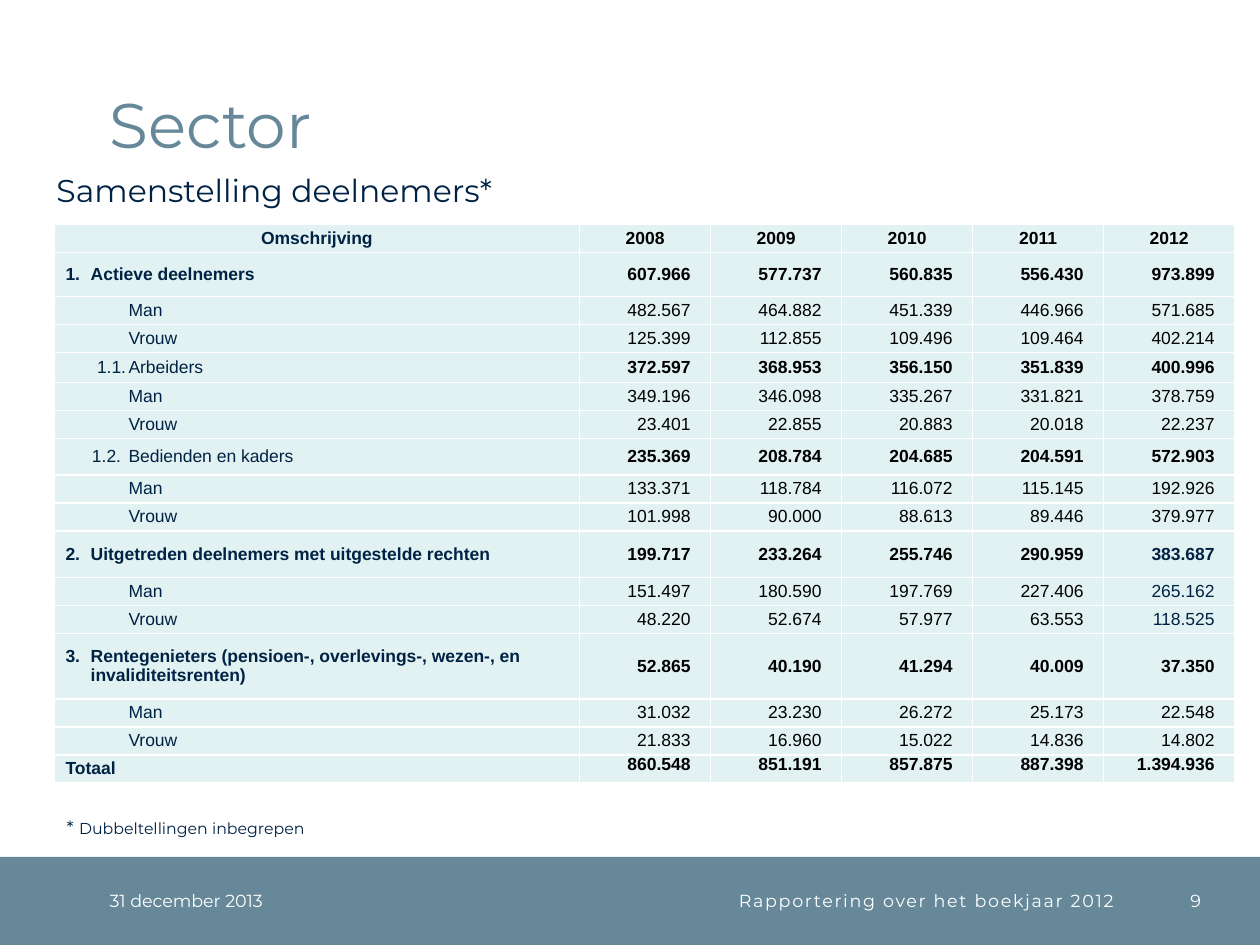
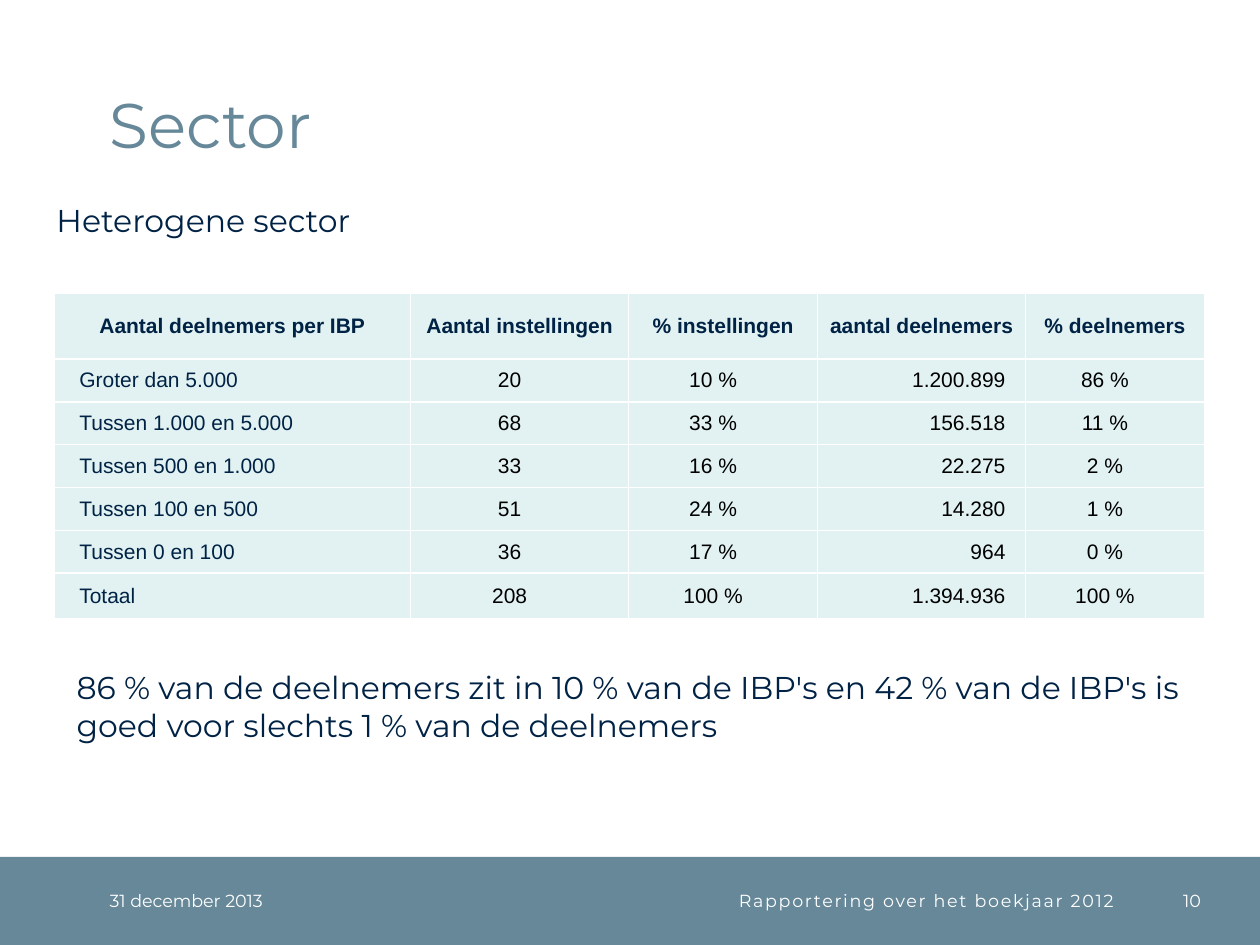
import dataclasses

import pptx
import pptx.dml.color
import pptx.enum.shapes
import pptx.enum.text
import pptx.util

Inches = pptx.util.Inches
ALIGN = pptx.enum.text.PP_ALIGN
ANCHOR = pptx.enum.text.MSO_ANCHOR


def rgb(code):
    return pptx.dml.color.RGBColor.from_string(code)


@dataclasses.dataclass(frozen=True)
class Theme:
    steel: str = "668899"
    navy: str = "002244"
    black: str = "000000"
    white: str = "FFFFFF"
    table_fill: str = "E2F2F2"
    text_font: str = "Montserrat"
    table_font: str = "Arial"
    title_size: float = 36
    heading_size: float = 18
    footer_size: float = 10
    note_size: float = 9
    note_mark_size: float = 10.5


class Deck:
    """Holds the presentation, its style and the current slide."""

    def __init__(self, theme):
        self.theme = theme
        self.presentation = pptx.Presentation()
        self.presentation.slide_width = Inches(10)
        self.presentation.slide_height = Inches(7.5)
        self.slide = None

    def style(self, paragraph, size, color, font=None, bold=False,
              align=ALIGN.LEFT, margin=0, hanging=0):
        paragraph.alignment = align
        paragraph.font.size = pptx.util.Pt(size)
        paragraph.font.name = font or self.theme.text_font
        paragraph.font.bold = bold
        paragraph.font.color.rgb = rgb(color)
        if margin:
            properties = paragraph._p.get_or_add_pPr()
            properties.set("marL", str(Inches(margin)))
            properties.set("indent", str(-Inches(hanging)))

    def no_margins(self, frame):
        frame.margin_left = frame.margin_right = 0
        frame.margin_top = frame.margin_bottom = 0

    def add_slide(self, title, number):
        self.slide = self.presentation.slides.add_slide(
            self.presentation.slide_layouts[5])
        self.band()
        self.title(title)
        self.footer(0.87, 1.77, "31 december 2013")
        self.footer(2.64, 6.2, "Rapportering over het boekjaar 2012",
                    ALIGN.RIGHT, spacing=1)
        self.footer(9.04, 0.49, str(number), ALIGN.RIGHT)

    def band(self):
        band = self.slide.shapes.add_shape(
            pptx.enum.shapes.MSO_SHAPE.RECTANGLE,
            Inches(0), Inches(6.8), Inches(10), Inches(0.7))
        band.shadow.inherit = False
        band.fill.solid()
        band.fill.fore_color.rgb = rgb(self.theme.steel)
        band.line.fill.background()

    def title(self, text):
        title = self.slide.shapes.title
        title.left, title.top = Inches(0.87), Inches(0.2)
        title.width, title.height = Inches(8.63), Inches(1.08)
        frame = title.text_frame
        frame.text = text
        frame.auto_size = pptx.enum.text.MSO_AUTO_SIZE.NONE
        frame.vertical_anchor = ANCHOR.BOTTOM
        self.no_margins(frame)
        frame.paragraphs[0].line_spacing = pptx.util.Pt(32)
        self.style(frame.paragraphs[0], self.theme.title_size, self.theme.steel)

    def text_box(self, left, top, width, height, text=""):
        frame = self.slide.shapes.add_textbox(
            Inches(left), Inches(top), Inches(width), Inches(height)).text_frame
        frame.word_wrap = True
        frame.text = text
        return frame

    def footer(self, left, width, text, align=ALIGN.LEFT, spacing=0):
        frame = self.text_box(left, 6.8, width, 0.7, text)
        frame.vertical_anchor = ANCHOR.MIDDLE
        self.no_margins(frame)
        paragraph = frame.paragraphs[0]
        self.style(paragraph, self.theme.footer_size, self.theme.white, align=align)
        if spacing:
            letters = paragraph.runs[0]._r.get_or_add_rPr()
            letters.set("spc", str(spacing * 100))

    def heading(self, left, top, width, height, text):
        frame = self.text_box(left, top, width, height, text)
        self.style(frame.paragraphs[0], self.theme.heading_size, self.theme.navy)

    def footnote(self, left, top, width, height, mark, text):
        paragraph = self.text_box(left, top, width, height).paragraphs[0]
        self.style(paragraph, self.theme.note_size, self.theme.navy,
                   margin=0.1, hanging=0.1)
        mark_run = paragraph.add_run()
        mark_run.text = mark
        mark_run.font.size = pptx.util.Pt(self.theme.note_mark_size)
        paragraph.add_run().text = "\t" + text

    def table(self, left, top, widths, heights):
        table = self.slide.shapes.add_table(
            len(heights), len(widths), Inches(left), Inches(top),
            Inches(sum(widths)), Inches(sum(heights))).table
        table.first_row = table.horz_banding = False
        for column, width in zip(table.columns, widths):
            column.width = Inches(width)
        for row, height in zip(table.rows, heights):
            row.height = Inches(height)
        return table

    def cell(self, cell, text, size, color, right_margin=0,
             anchor=ANCHOR.MIDDLE, **paragraph_style):
        cell.fill.solid()
        cell.fill.fore_color.rgb = rgb(self.theme.table_fill)
        cell.text = text
        cell.vertical_anchor = anchor
        self.no_margins(cell)
        cell.margin_right = Inches(right_margin)
        self.style(cell.text_frame.paragraphs[0], size, color,
                   font=self.theme.table_font, **paragraph_style)


# Row levels of the participants table: label margin, hanging, label bold, values bold
LEVELS = {
    "group": (0.29, 0.2, True, True),
    "subgroup": (0.59, 0.29, False, True),
    "inset subgroup": (0.59, 0.25, False, True),
    "gender": (0.59, 0, False, False),
    "total": (0.29, 0.2, True, True),
}
LINE = 2 / 9  # height of a plain row
YEARS = ["2008", "2009", "2010", "2011", "2012"]
PARTICIPANTS = [
    ("group", 0.35, "1.\tActieve deelnemers", "607.966 577.737 560.835 556.430 973.899"),
    ("gender", LINE, "Man", "482.567 464.882 451.339 446.966 571.685"),
    ("gender", LINE, "Vrouw", "125.399 112.855 109.496 109.464 402.214"),
    ("inset subgroup", 0.24, "1.1.\tArbeiders", "372.597 368.953 356.150 351.839 400.996"),
    ("gender", LINE, "Man", "349.196 346.098 335.267 331.821 378.759"),
    ("gender", LINE, "Vrouw", "23.401 22.855 20.883 20.018 22.237"),
    ("subgroup", 0.29, "1.2.\tBedienden en kaders",
     "235.369 208.784 204.685 204.591 572.903"),
    ("gender", LINE, "Man", "133.371 118.784 116.072 115.145 192.926"),
    ("gender", LINE, "Vrouw", "101.998 90.000 88.613 89.446 379.977"),
    ("group", 0.37, "2.\tUitgetreden deelnemers met uitgestelde rechten",
     "199.717 233.264 255.746 290.959 383.687"),
    ("gender", LINE, "Man", "151.497 180.590 197.769 227.406 265.162"),
    ("gender", LINE, "Vrouw", "48.220 52.674 57.977 63.553 118.525"),
    ("group", 0.52,
     "3.\tRentegenieters (pensioen-, overlevings-, wezen-, en invaliditeitsrenten)",
     "52.865 40.190 41.294 40.009 37.350"),
    ("gender", LINE, "Man", "31.032 23.230 26.272 25.173 22.548"),
    ("gender", LINE, "Vrouw", "21.833 16.960 15.022 14.836 14.802"),
    ("total", LINE, "Totaal", "860.548 851.191 857.875 887.398 1.394.936"),
]
NAVY_2012_ROWS = range(10, 13)  # the deferred members in 2012

SIZE_HEADERS = ["Aantal deelnemers per IBP", "Aantal instellingen", "% instellingen",
                "aantal deelnemers", "% deelnemers"]
SIZE_CLASSES = [
    ("Groter dan 5.000", "20", "10 %", "1.200.899", "86 %"),
    ("Tussen 1.000 en 5.000", "68", "33 %", "156.518", "11 %"),
    ("Tussen 500 en 1.000", "33", "16 %", "22.275", "2 %"),
    ("Tussen 100 en 500", "51", "24 %", "14.280", "1 %"),
    ("Tussen 0 en 100", "36", "17 %", "964", "0 %"),
    ("Totaal", "208", "100 %", "1.394.936", "100 %"),
]


def participants_slide(deck):
    theme, size = deck.theme, 10
    deck.add_slide("Sector", 9)
    deck.heading(0.35, 1.31, 9, 0.4, "Samenstelling deelnemers*")
    heights = [LINE] + [height for _, height, _, _ in PARTICIPANTS]
    table = deck.table(0.43, 1.78, [4.17] + [1.04] * len(YEARS), heights)

    # Header row
    for column, header in enumerate(["Omschrijving"] + YEARS):
        deck.cell(table.cell(0, column), header, size,
                  theme.black if column else theme.navy,
                  bold=True, align=ALIGN.CENTER)

    # Groups, subgroups and total
    for row, (level, _, label, values) in enumerate(PARTICIPANTS, 1):
        margin, hanging, label_bold, values_bold = LEVELS[level]
        deck.cell(table.cell(row, 0), label, size, theme.navy,
                  bold=label_bold, margin=margin, hanging=hanging)
        for column, value in enumerate(values.split(), 1):
            navy = column == len(YEARS) and row in NAVY_2012_ROWS
            deck.cell(table.cell(row, column), value, size,
                      theme.navy if navy else theme.black, right_margin=0.16,
                      anchor=ANCHOR.TOP if level == "total" else ANCHOR.MIDDLE,
                      bold=values_bold, align=ALIGN.RIGHT)

    deck.footnote(0.43, 6.43, 9.37, 0.28, "*", "Dubbeltellingen inbegrepen")


def size_classes_slide(deck):
    theme, size = deck.theme, 12
    deck.add_slide("Sector", 10)
    deck.heading(0.35, 1.55, 9, 0.4, "Heterogene sector")
    table = deck.table(0.43, 2.33, [2.83, 1.73, 1.5, 1.65, 1.42],
                       [0.52] + [0.34] * 5 + [0.36])

    # Header row
    for column, header in enumerate(SIZE_HEADERS):
        deck.cell(table.cell(0, column), header, size, theme.navy,
                  bold=True, align=ALIGN.CENTER)

    # Size classes and total
    for row, (label, *values) in enumerate(SIZE_CLASSES, 1):
        deck.cell(table.cell(row, 0), label, size, theme.navy, margin=0.2)
        for column, value in enumerate(values, 1):
            members = SIZE_HEADERS[column] == "aantal deelnemers"
            deck.cell(table.cell(row, column), value, size, theme.black,
                      right_margin=0.16,
                      align=ALIGN.RIGHT if members else ALIGN.CENTER)

    # Conclusion
    deck.heading(0.51, 5.25, 9.06, 0.71,
                 "86 % van de deelnemers zit in 10 % van de IBP's en 42 % van de "
                 "IBP's is goed voor slechts 1 % van de deelnemers")


def main():
    deck = Deck(Theme())
    participants_slide(deck)
    size_classes_slide(deck)
    deck.presentation.save("out.pptx")


if __name__ == "__main__":
    main()
